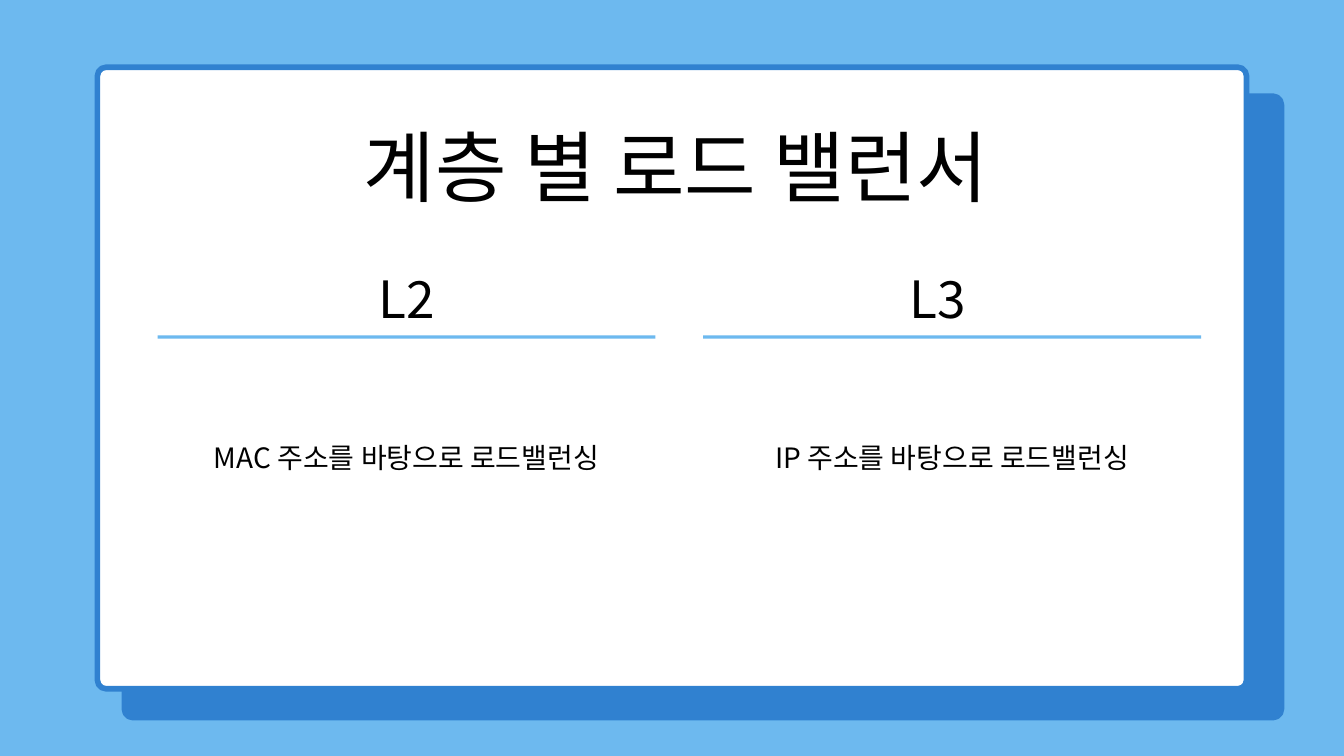
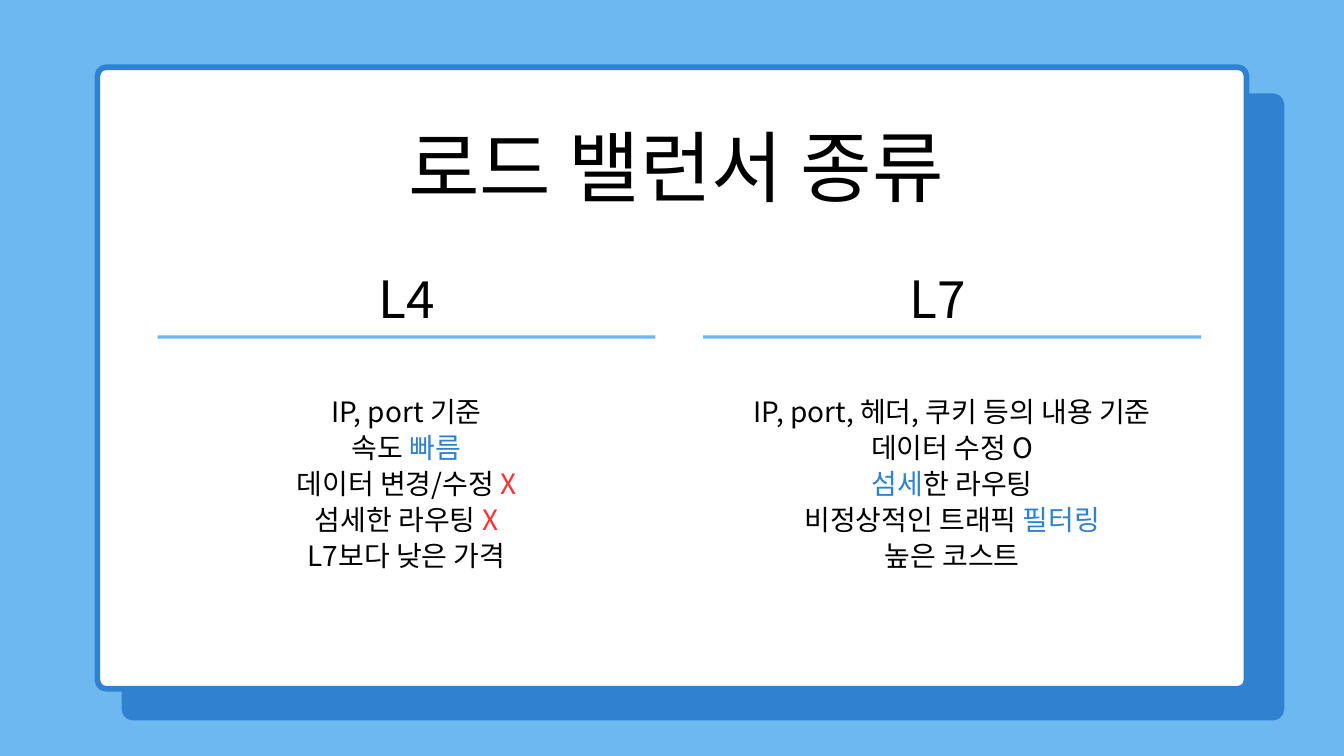
from dataclasses import dataclass

from lxml.etree import SubElement
from pptx import Presentation
from pptx.dml.color import RGBColor
from pptx.enum.shapes import MSO_SHAPE
from pptx.enum.text import MSO_AUTO_SIZE, PP_ALIGN
from pptx.oxml.ns import qn
from pptx.util import Inches, Pt


@dataclass(frozen=True)
class Theme:
    font: str = "Noto Sans CJK KR"
    sky: RGBColor = RGBColor(0x6D, 0xB9, 0xEF)
    blue: RGBColor = RGBColor(0x30, 0x81, 0xD0)
    red: RGBColor = RGBColor(0xFF, 0x31, 0x31)
    white: RGBColor = RGBColor(0xFF, 0xFF, 0xFF)
    black: RGBColor = RGBColor(0, 0, 0)
    # Type size and line spacing in points
    title: tuple = (83.3, 106.6)
    heading: tuple = (55, 70.4)
    body: tuple = (30, 38.4)


theme = Theme()


def add_block(page, kind, left, top, width, height, fill):
    block = page.shapes.add_shape(
        kind, Inches(left), Inches(top), Inches(width), Inches(height))
    block.shadow.inherit = False
    block.fill.solid()
    block.fill.fore_color.rgb = fill
    block.line.fill.background()
    return block


def add_text(page, center, top, width, height, style, lines):
    """Write centred lines; each line is a list of (text, colour) spans."""
    size, spacing = style
    box = page.shapes.add_textbox(
        Inches(center - width / 2), Inches(top), Inches(width), Inches(height))
    frame = box.text_frame
    frame.word_wrap = True
    frame.auto_size = MSO_AUTO_SIZE.SHAPE_TO_FIT_TEXT
    frame.margin_left = frame.margin_right = 0
    frame.margin_top = frame.margin_bottom = 0
    for index, spans in enumerate(lines):
        para = frame.add_paragraph() if index else frame.paragraphs[0]
        para.alignment = PP_ALIGN.CENTER
        para.line_spacing = Pt(spacing)
        para.font.size = Pt(size)
        para.font.name = theme.font
        para.font.color.rgb = theme.black
        # Korean letters need the East Asian font as well
        defaults = para._p.pPr.find(qn("a:defRPr"))
        SubElement(defaults, qn("a:ea"), typeface=theme.font)
        for text, color in spans:
            span = para.add_run()
            span.text = text
            if color != theme.black:
                span.font.color.rgb = color


black, blue, red = theme.black, theme.blue, theme.red

# Title, title width, body top, body height, columns (heading, body width, lines)
slides = [
    ("계층 별 로드 밸런서", 10.22, 6.52, 0.53, [
        ("L2", 6.03, [[("MAC 주소를 바탕으로 로드밸런싱", black)]]),
        ("L3", 5.73, [[("IP 주소를 바탕으로 로드밸런싱", black)]]),
    ]),
    ("로드 밸런서 종류", 8.73, 5.84, 2.65, [
        ("L4", 5.73, [
            [("IP, port 기준", black)],
            [("속도 ", black), ("빠름", blue)],
            [("데이터 변경/수정 ", black), ("X", red)],
            [("섬세한 라우팅 ", black), ("X", red)],
            [("L7보다 낮은 가격", black)],
        ]),
        ("L7", 6.95, [
            [("IP, port, 헤더, 쿠키 등의 내용 기준", black)],
            [("데이터 수정 O", black)],
            [("섬세", blue), ("한 라우팅", black)],
            [("비정상적인 트래픽 ", black), ("필터링", blue)],
            [("높은 코스트", black)],
        ]),
    ]),
]

# Centres of each column: heading, then rule and body
column_centers = [(6.05, 6.05), (13.96, 14.17)]
rule_width = 7.41
card_height = 9.25
corner_radius = 0.13
cards = [(1.85, 1.43, 17.22, theme.blue), (1.45, 1, 17.1, theme.white)]

deck = Presentation()
deck.slide_width = Inches(20)
deck.slide_height = Inches(11.25)

for title, title_width, body_top, body_height, columns in slides:
    page = deck.slides.add_slide(deck.slide_layouts[6])
    page.background.fill.solid()
    page.background.fill.fore_color.rgb = theme.sky

    # Outlined card over its offset backing
    for left, top, width, fill in cards:
        card = add_block(page, MSO_SHAPE.ROUNDED_RECTANGLE,
                         left, top, width, card_height, fill)
        card.adjustments[0] = corner_radius / card_height
        card.line.color.rgb = theme.blue
        card.line.width = Pt(6)

    add_text(page, 10.06, 1.68, title_width, 1.5, theme.title,
             [[(title, black)]])

    # Two columns: heading, rule, body
    for (heading_center, center), (heading, body_width, lines) in zip(
            column_centers, columns):
        add_text(page, heading_center, 3.92, 5.73, 0.95, theme.heading,
                 [[(heading, black)]])
        add_block(page, MSO_SHAPE.RECTANGLE, center - rule_width / 2, 4.99,
                  rule_width, 0.05, theme.sky)
        add_text(page, center, body_top, body_width, body_height, theme.body,
                 lines)

deck.save("out.pptx")
